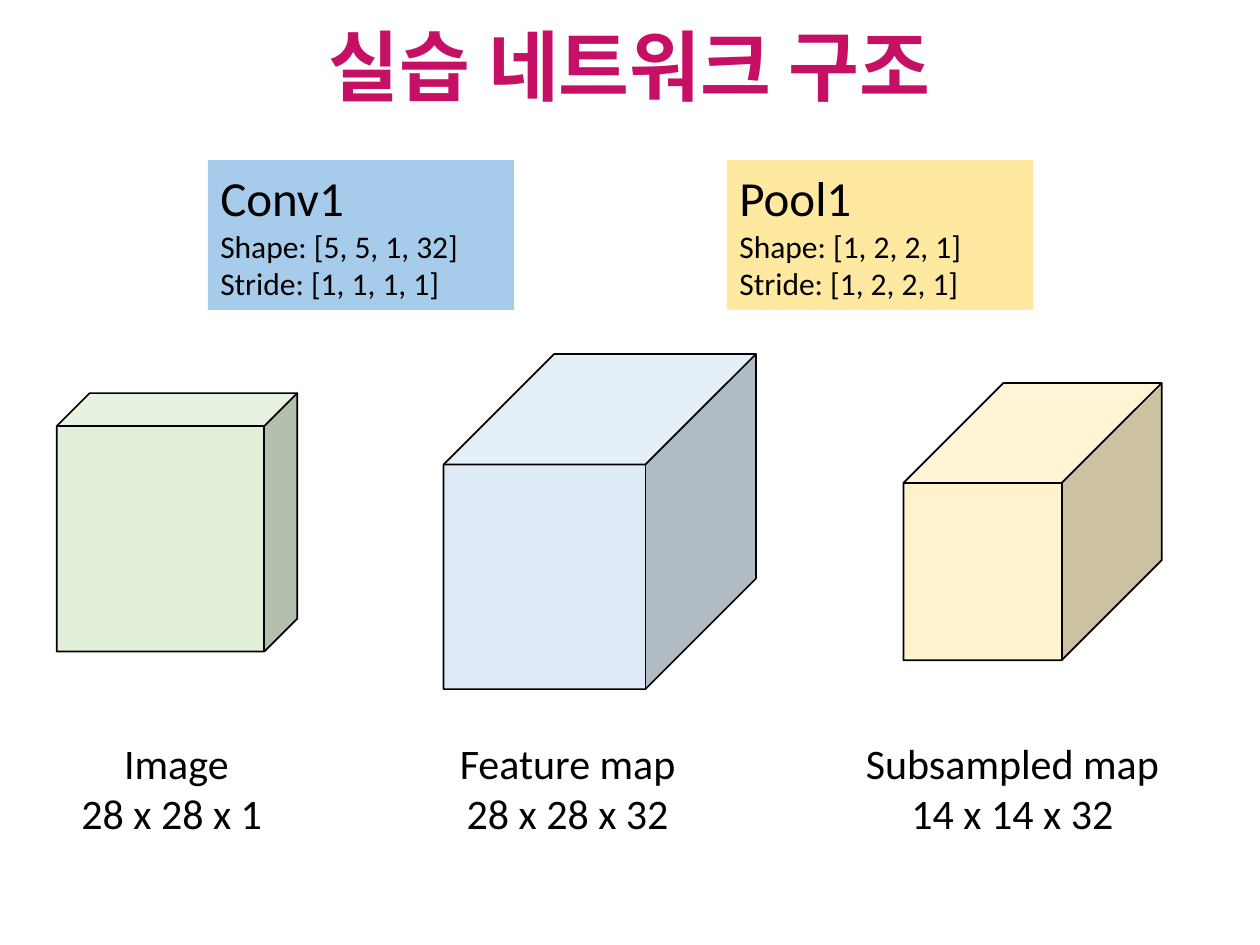
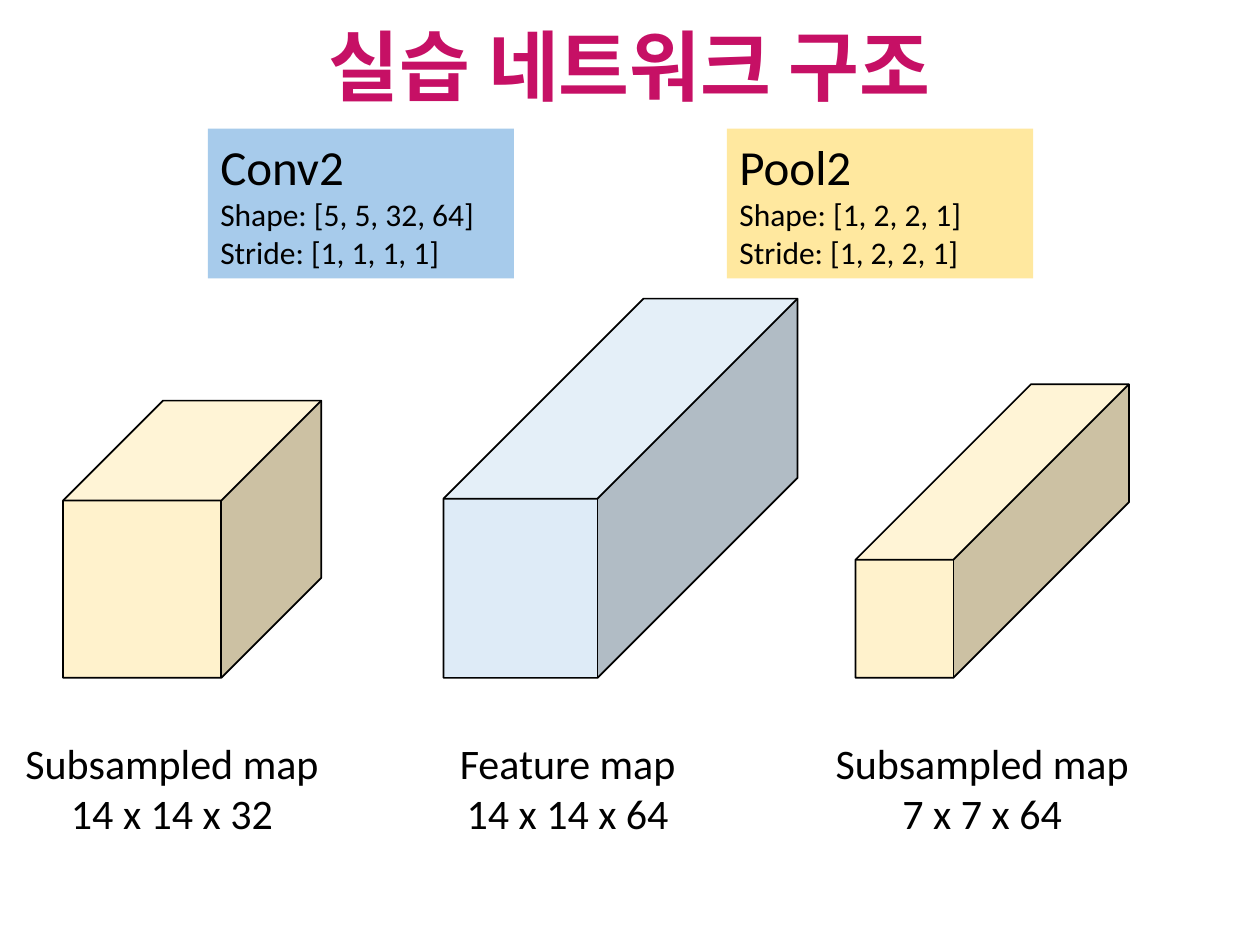
from dataclasses import dataclass

from pptx import Presentation
from pptx.dml.color import RGBColor
from pptx.enum import shapes, text
from pptx.util import Inches, Pt


@dataclass(frozen=True)
class Theme:
    font: str = "Calibri"
    ink: str = "000000"
    title: str = "C61065"
    conv: str = "A7CBEB"
    pool: str = "FFE89F"
    image: str = "E2F0D9"
    feature: str = "DEEBF7"
    subsampled: str = "FFF2CC"
    title_size: int = 44
    layer_size: int = 28
    label_size: int = 24
    detail_size: int = 18
    outline: int = 1


THEME = Theme()
TITLE = "실습 네트워크 구조"
LABEL_TOP = 5.85
CONV_LEFT, POOL_LEFT = 1.65, 5.77


def rgb(value):
    return RGBColor.from_string(value)


def write_lines(frame, lines, sizes, align, color=THEME.ink, bold=False):
    for index, (line, size) in enumerate(zip(lines, sizes)):
        para = frame.paragraphs[0] if index == 0 else frame.add_paragraph()
        para.text = line
        para.alignment = align
        font = para.font
        font.name, font.size, font.bold = THEME.font, Pt(size), bold
        font.color.rgb = rgb(color)


def add_filled_shape(page, kind, area, fill):
    shape = page.shapes.add_shape(kind, *map(Inches, area))
    shape.shadow.inherit = False
    shape.fill.solid()
    shape.fill.fore_color.rgb = rgb(fill)
    return shape


def add_centered_text(page, area, lines, size, **style):
    """Unwrapped text without margins, in a box that fits it."""
    box = page.shapes.add_textbox(*map(Inches, area))
    frame = box.text_frame
    frame.margin_left = frame.margin_right = 0
    frame.margin_top = frame.margin_bottom = 0
    frame.word_wrap = False
    frame.auto_size = text.MSO_AUTO_SIZE.SHAPE_TO_FIT_TEXT
    write_lines(frame, lines, [size] * len(lines), text.PP_ALIGN.CENTER, **style)


def add_title(page):
    add_centered_text(page, (2.39, 0.15, 5.22, 0.74), [TITLE],
                      THEME.title_size, color=THEME.title, bold=True)


def add_layer(page, left, top, fill, name, kernel, stride):
    """Coloured card with a layer's name and parameters."""
    card = add_filled_shape(page, shapes.MSO_SHAPE.RECTANGLE,
                            (left, top, 2.43, 1.19), fill)
    card.line.fill.background()
    frame = card.text_frame
    frame.vertical_anchor = text.MSO_ANCHOR.MIDDLE
    write_lines(frame, [name, f"Shape: {kernel}", f"Stride: {stride}"],
                [THEME.layer_size, THEME.detail_size, THEME.detail_size],
                text.PP_ALIGN.LEFT)


def add_volume(page, area, depth, fill):
    """Cube whose depth is a share of its shorter side."""
    cube = add_filled_shape(page, shapes.MSO_SHAPE.CUBE, area, fill)
    cube.adjustments[0] = depth
    cube.line.color.rgb = rgb(THEME.ink)
    cube.line.width = Pt(THEME.outline)


def add_label(page, left, width, name, size):
    add_centered_text(page, (left, LABEL_TOP, width, 0.81), [name, size],
                      THEME.label_size)


def add_network_page(deck, layer_top, conv, pool, volumes, labels):
    page = deck.slides.add_slide(deck.slide_layouts[6])
    for volume in volumes:
        add_volume(page, *volume)
    for label in labels:
        add_label(page, *label)
    add_layer(page, CONV_LEFT, layer_top, THEME.conv, *conv)
    add_layer(page, POOL_LEFT, layer_top, THEME.pool, *pool)
    add_title(page)


def main():
    deck = Presentation()
    deck.slide_width, deck.slide_height = Inches(10), Inches(7.5)
    add_network_page(
        deck, 1.27,
        conv=("Conv1", [5, 5, 1, 32], [1, 1, 1, 1]),
        pool=("Pool1", [1, 2, 2, 1], [1, 2, 2, 1]),
        volumes=[((0.45, 3.12, 1.91, 2.05), 0.137, THEME.image),
                 ((3.52, 2.81, 2.48, 2.66), 0.354, THEME.feature),
                 ((7.17, 3.04, 2.05, 2.2), 0.387, THEME.subsampled)],
        labels=[(0.64, 1.52, "Image", "28 x 28 x 1 "),
                (3.64, 1.73, "Feature map", "28 x 28 x 32"),
                (6.86, 2.35, "Subsampled map", "14 x 14 x 32")])
    add_network_page(
        deck, 1.02,
        conv=("Conv2", [5, 5, 32, 64], [1, 1, 1, 1]),
        pool=("Pool2", [1, 2, 2, 1], [1, 2, 2, 1]),
        volumes=[((0.5, 3.18, 2.05, 2.2), 0.387, THEME.subsampled),
                 ((3.52, 2.37, 2.81, 3.01), 0.565, THEME.feature),
                 ((6.79, 3.05, 2.17, 2.33), 0.642, THEME.subsampled)],
        labels=[(0.19, 2.35, "Subsampled map", "14 x 14 x 32"),
                (3.64, 1.73, "Feature map", "14 x 14 x 64"),
                (6.62, 2.35, "Subsampled map", "7 x 7 x 64")])
    deck.save("out.pptx")


if __name__ == "__main__":
    main()
